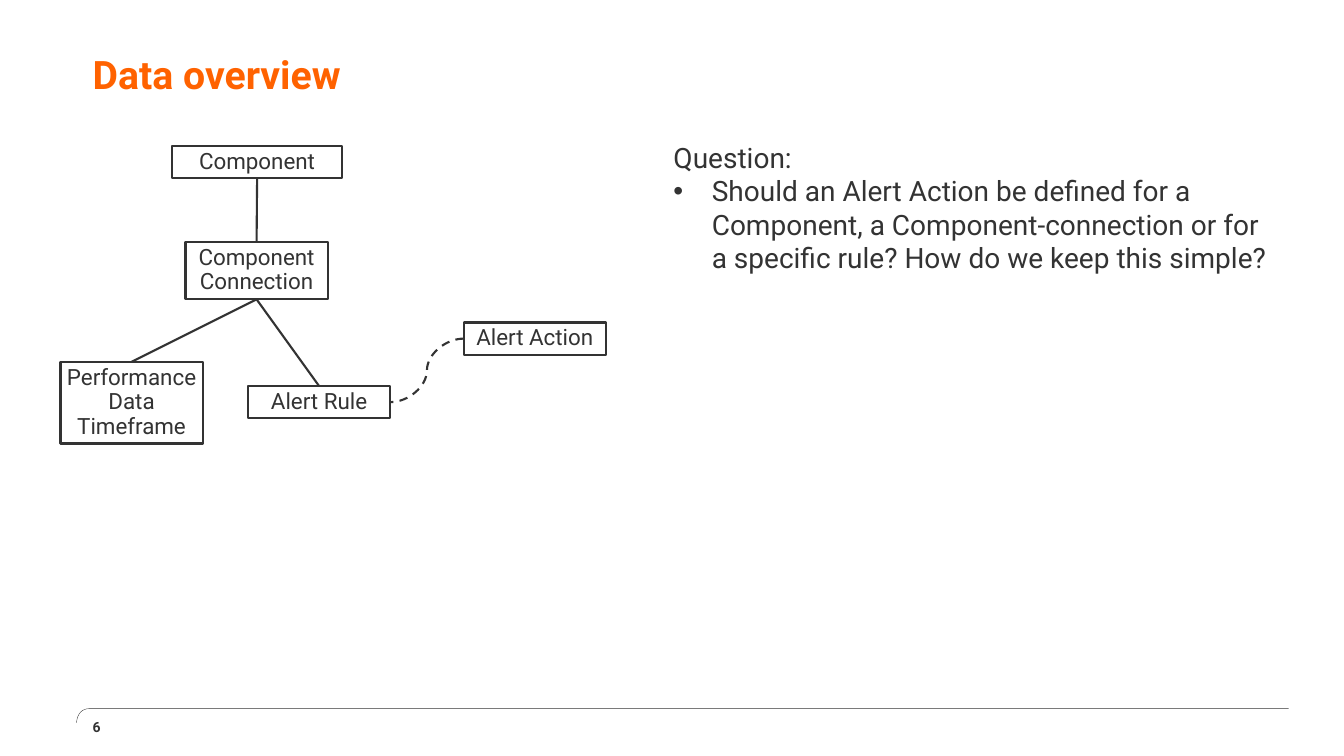
from lxml import etree
from pptx import Presentation
from pptx.dml.color import RGBColor
from pptx.enum.dml import MSO_LINE
from pptx.enum.shapes import MSO_CONNECTOR, MSO_SHAPE
from pptx.enum.text import MSO_ANCHOR, MSO_AUTO_SIZE, PP_ALIGN
from pptx.oxml.ns import qn
from pptx.util import Inches, Pt

DARK = RGBColor(0x33, 0x33, 0x33)
ORANGE = RGBColor(0xFF, 0x62, 0x00)
FONT = "Roboto"
RECT = MSO_SHAPE.RECTANGLE
STRAIGHT, CURVE = MSO_CONNECTOR.STRAIGHT, MSO_CONNECTOR.CURVE
DASH = MSO_LINE.DASH
TOP, MIDDLE = MSO_ANCHOR.TOP, MSO_ANCHOR.MIDDLE
LEFT, CENTER = PP_ALIGN.LEFT, PP_ALIGN.CENTER
GROW = MSO_AUTO_SIZE.SHAPE_TO_FIT_TEXT

# Connection sites of a rectangle
SITE_TOP, SITE_LEFT, SITE_BOTTOM, SITE_RIGHT = range(4)

# Entity: left, top, width, height within the diagram
ENTITIES = {
    "Component": (1.11, 0, 1.68, 0.32),
    "Component Connection": (1.24, 0.95, 1.41, 0.57),
    "Alert Rule": (1.86, 2.38, 1.41, 0.32),
    "Alert Action": (4, 1.75, 1.41, 0.32),
    "Performance Data Timeframe": (0, 2.14, 1.41, 0.81),
}
RELATIONS = [
    ("Component Connection", SITE_TOP, "Component", SITE_BOTTOM, STRAIGHT),
    ("Alert Rule", SITE_TOP, "Component Connection", SITE_BOTTOM, STRAIGHT),
    ("Alert Action", SITE_LEFT, "Alert Rule", SITE_RIGHT, CURVE),
    ("Performance Data Timeframe", SITE_TOP, "Component Connection", SITE_BOTTOM, STRAIGHT),
]


def write(sp, paragraphs, size, color=DARK, bold=False, anchor=TOP, align=LEFT,
          spacing=None, inset=0):
    """Fill a shape with paragraphs of one format and return its text frame."""
    tf = sp.text_frame
    frame = {"word_wrap": True, "vertical_anchor": anchor}
    frame.update({f"margin_{side}": Inches(inset) for side in ("left", "top", "right", "bottom")})
    for name, value in frame.items():
        setattr(tf, name, value)
    for i, text in enumerate(paragraphs):
        p = tf.paragraphs[0] if i == 0 else tf.add_paragraph()
        p.alignment = align
        p.line_spacing = spacing
        r = p.add_run()
        r.text = text
        for name, value in {"name": FONT, "size": Pt(size), "bold": bold}.items():
            setattr(r.font, name, value)
        r.font.color.rgb = color
    return tf


def outline(sp, width):
    sp.line.color.rgb = DARK
    sp.line.width = Pt(width)


def add_bullet(p, indent):
    pPr = p._p.get_or_add_pPr()
    pPr.set("marL", str(Inches(indent)))
    pPr.set("indent", str(Inches(-indent)))
    etree.SubElement(pPr, qn("a:buFont")).set("typeface", "Arial")
    etree.SubElement(pPr, qn("a:buChar")).set("char", "•")


def add_text(slide, box, paragraphs, size, **formats):
    sp = slide.shapes.add_textbox(*map(Inches, box))
    return write(sp, paragraphs, size, **formats)


def add_footer(slide, x, y, w, h):
    """Draw a rule with a rounded left end, and the page number below it."""
    radius, steps = 0.13, 12
    arc = []
    for i in range(steps + 1):
        t = i / steps
        arc.append((x + radius * (1 - t) ** 3, y + h * (3 * (1 - t) * t ** 2 + t ** 3)))
    builder = slide.shapes.build_freeform(Inches(x + w), Inches(y), scale=1.0)
    builder.add_line_segments([(Inches(px), Inches(py)) for px, py in arc], close=False)
    rule = builder.convert_to_shape()
    rule.shadow.inherit = False
    rule.fill.background()
    outline(rule, 0.25)
    add_text(slide, (x + 0.16, y + 0.08, 0.54, 0.21), ["6"], 10, bold=True, anchor=MIDDLE)


def add_question(slide, box):
    tf = add_text(slide, box, [
        "Question:",
        "Should an Alert Action be defined for a Component, a Component-connection "
        "or for a specific rule? How do we keep this simple?",
    ], 20, spacing=Pt(24))
    add_bullet(tf.paragraphs[1], 0.38)


def add_entity(slide, box, name):
    sp = slide.shapes.add_shape(RECT, *map(Inches, box))
    sp.shadow.inherit = False
    sp.fill.background()
    outline(sp, 1.5)
    tf = write(sp, [name], 16, anchor=MIDDLE, align=CENTER, spacing=0.9, inset=0.04)
    tf.auto_size = GROW
    return sp


def add_relation(slide, start, start_site, end, end_site, kind):
    line = slide.shapes.add_connector(kind, 0, 0, 0, 0)
    line.begin_connect(start, start_site)
    line.end_connect(end, end_site)
    outline(line, 1.5)
    if kind == CURVE:
        line.line.dash_style = DASH
    etree.SubElement(line._element.spPr, qn("a:effectLst"))


def add_diagram(slide, x, y):
    entities = {name: add_entity(slide, (x + dx, y + dy, w, h), name)
                for name, (dx, dy, w, h) in ENTITIES.items()}
    for start, start_site, end, end_site, kind in RELATIONS:
        add_relation(slide, entities[start], start_site, entities[end], end_site, kind)


def main():
    prs = Presentation()
    prs.slide_width, prs.slide_height = Inches(13.33), Inches(7.5)
    slide = prs.slides.add_slide(prs.slide_layouts[6])
    add_footer(slide, 0.76, 7.03, 12.02, 0.14)
    add_question(slide, (6.68, 1.39, 5.94, 5.38))
    add_text(slide, (0.92, 0.31, 11.47, 0.93), ["Data overview"], 28,
             color=ORANGE, bold=True, anchor=MIDDLE, spacing=Pt(28))
    add_diagram(slide, 0.6, 1.45)
    prs.save("out.pptx")


if __name__ == "__main__":
    main()
